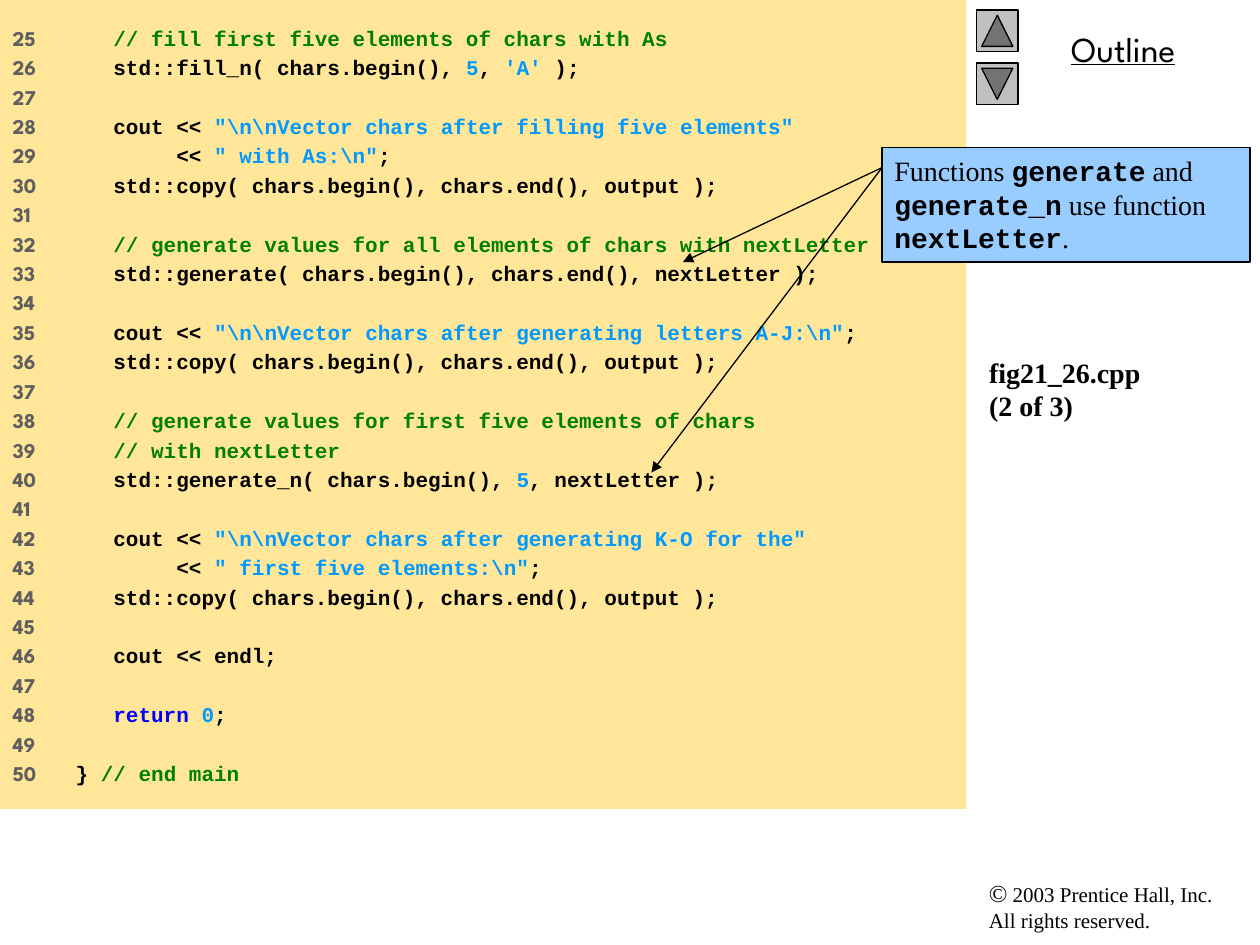
"""Build a code slide with a listing, a callout and outline buttons."""
from lxml import etree
from pptx import Presentation
from pptx.dml.color import RGBColor
from pptx.enum.shapes import MSO_CONNECTOR, MSO_SHAPE
from pptx.enum.text import MSO_ANCHOR, MSO_AUTO_SIZE, PP_ALIGN
from pptx.oxml.ns import qn
from pptx.util import Inches, Pt

LEFT, CENTER = PP_ALIGN.LEFT, PP_ALIGN.CENTER
TOP, MIDDLE = MSO_ANCHOR.TOP, MSO_ANCHOR.MIDDLE
FIXED = MSO_AUTO_SIZE.NONE
RECT, BACK = MSO_SHAPE.RECTANGLE, MSO_SHAPE.ACTION_BUTTON_BACK_OR_PREVIOUS
STRAIGHT = MSO_CONNECTOR.STRAIGHT
MONO, SANS, SERIF = "Courier New", "League Spartan", "Times New Roman"
COLORS = {
    "code": "000000", "note": "008000", "value": "0099FF", "key": "0000FF",
    "number": "5F5F5F", "panel": "FFE699", "callout": "99CCFF", "button": "C0C0C0",
}


def color(name):
    return RGBColor.from_string(COLORS[name])


def write(para, text, font, size, bold=False, tone="code"):
    run = para.add_run()
    run.text = text
    run.font.name, run.font.size, run.font.bold = font, Pt(size), bold
    run.font.color.rgb = color(tone)
    return run


FIRST = 25
COPY = [("code", "   std::copy( chars.begin(), chars.end(), output );")]
LINES = [
    [("note", "   // fill first five elements of chars with As")],
    [("code", "   std::fill_n( chars.begin(), "), ("value", "5"), ("code", ", "),
     ("value", "'A'"), ("code", " );")],
    [],
    [("code", "   cout << "),
     ("value", r'"\n\nVector chars after filling five elements"')],
    [("code", "        << "), ("value", r'" with As:\n"'), ("code", ";")],
    COPY,
    [],
    [("note", "   // generate values for all elements of chars with nextLetter")],
    [("code", "   std::generate( chars.begin(), chars.end(), nextLetter );")],
    [],
    [("code", "   cout << "),
     ("value", r'"\n\nVector chars after generating letters A-J:\n"'), ("code", ";")],
    COPY,
    [],
    [("note", "   // generate values for first five elements of chars")],
    [("note", "   // with nextLetter")],
    [("code", "   std::generate_n( chars.begin(), "), ("value", "5"),
     ("code", ", nextLetter );")],
    [],
    [("code", "   cout << "),
     ("value", r'"\n\nVector chars after generating K-O for the"')],
    [("code", "        << "), ("value", r'" first five elements:\n"'), ("code", ";")],
    COPY,
    [],
    [("code", "   cout << endl;")],
    [],
    [("key", "   return "), ("value", "0"), ("code", ";")],
    [],
    [("code", "} "), ("note", "// end main")],
]

deck = Presentation()
deck.slide_width, deck.slide_height = Inches(10), Inches(7.5)
slide = deck.slides.add_slide(deck.slide_layouts[0])
shapes = slide.shapes

title = shapes.title
title.left, title.top = Inches(7.75), Inches(0.92)
title.width, title.height = Inches(2.25), Inches(5.25)
frame = title.text_frame
frame.auto_size, frame.word_wrap = FIXED, True
frame.vertical_anchor, frame.margin_bottom = MIDDLE, Inches(0.97)
para = frame.paragraphs[0]
para.alignment = LEFT
write(para, "fig21_26.cpp", SERIF, 16, True)
para.add_line_break()
write(para, "(2 of 3)", SERIF, 16, True)

panel = slide.placeholders[1]
panel.left, panel.top = Inches(0), Inches(0)
panel.width, panel.height = Inches(7.67), Inches(6.42)
panel.fill.solid()
panel.fill.fore_color.rgb = color("panel")
frame = panel.text_frame
frame.auto_size, frame.word_wrap = FIXED, True
frame.vertical_anchor = TOP
frame.margin_top = frame.margin_bottom = Inches(0.2)
for index, line in enumerate(LINES):
    para = frame.add_paragraph() if index else frame.paragraphs[0]
    tabs = etree.SubElement(para._p.get_or_add_pPr(), qn("a:tabLst"))
    etree.SubElement(tabs, qn("a:tab"), pos=str(Inches(0.37)), algn="l")
    para.alignment = LEFT
    para.space_before = Pt(2.4 if index else 0)
    label = str(FIRST + index) + ("\t" if line else "")
    write(para, label, SANS, 12, True, "number")
    for tone, text in line:
        write(para, text, MONO, 12, True, tone)

box = shapes.add_textbox(Inches(7.75), Inches(6.92), Inches(2.17), Inches(0.53))
box.text_frame.word_wrap = True
para = box.text_frame.paragraphs[0]
write(para, "©", SERIF, 14)
write(para, " 2003 Prentice Hall, Inc.", SERIF, 12)
para.add_line_break()
write(para, "All rights reserved.", SERIF, 12)

box = shapes.add_textbox(Inches(7.83), Inches(0.17), Inches(2.17), Inches(0.43))
box.text_frame.word_wrap = True
para = box.text_frame.paragraphs[0]
para.alignment = CENTER
write(para, "Outline", SANS, 20).font.underline = True

for top, angle in ((0.08, 90), (0.5, 270)):
    button = shapes.add_shape(BACK, Inches(7.75), Inches(top), Inches(0.33), Inches(0.33))
    button.rotation = angle
    button.shadow.inherit = False
    button.fill.solid()
    button.fill.fore_color.rgb = color("button")
    button.line.color.rgb, button.line.width = color("code"), Pt(0.75)

callout = shapes.add_shape(RECT, Inches(7), Inches(1.17), Inches(2.92), Inches(0.91))
callout.shadow.inherit = False
callout.fill.solid()
callout.fill.fore_color.rgb = color("callout")
callout.line.color.rgb, callout.line.width = color("code"), Pt(0.75)
frame = callout.text_frame
frame.word_wrap, frame.vertical_anchor = True, TOP
para = frame.paragraphs[0]
para.alignment = LEFT
for plain, name in (("Functions ", "generate"), (" and ", "generate_n"),
                    (" use function ", "nextLetter")):
    write(para, plain, SERIF, 16)
    write(para, name, MONO, 16, True)
write(para, ".", SERIF, 16)

for left, top in ((5.42, 2.08), (5.17, 3.75)):
    arrow = shapes.add_connector(STRAIGHT, Inches(7), Inches(1.33), Inches(left), Inches(top))
    arrow.line.color.rgb, arrow.line.width = color("code"), Pt(0.75)
    etree.SubElement(arrow.line._get_or_add_ln(), qn("a:tailEnd"), type="triangle")
    etree.SubElement(arrow._element.spPr, qn("a:effectLst"))

deck.save("out.pptx")
